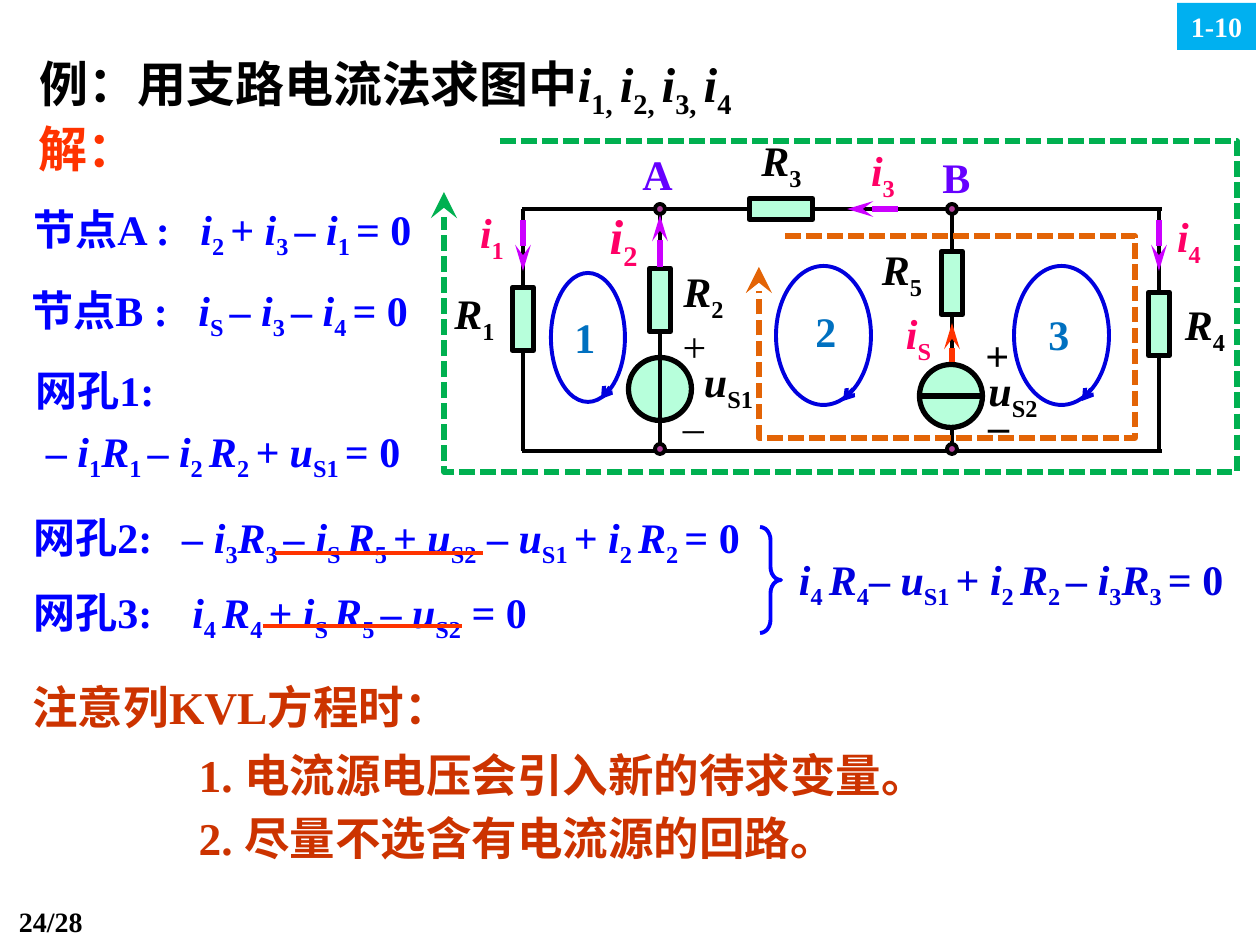
from lxml import etree
from pptx import Presentation
from pptx.dml.color import RGBColor
from pptx.enum.dml import MSO_LINE
from pptx.enum.shapes import MSO_CONNECTOR, MSO_SHAPE
from pptx.enum.text import MSO_ANCHOR, MSO_AUTO_SIZE, PP_ALIGN
from pptx.oxml.ns import qn
from pptx.util import Pt

UNIT = 914400 / 126
LEFT, MID, RIGHT, JUST = PP_ALIGN.LEFT, PP_ALIGN.CENTER, PP_ALIGN.RIGHT, PP_ALIGN.JUSTIFY
TOP, CENTER = MSO_ANCHOR.TOP, MSO_ANCHOR.MIDDLE
FIXED = MSO_AUTO_SIZE.NONE
DASH = MSO_LINE.SQUARE_DOT
RECT, OVAL, BRACE = MSO_SHAPE.RECTANGLE, MSO_SHAPE.OVAL, MSO_SHAPE.RIGHT_BRACE
WIRE = MSO_CONNECTOR.STRAIGHT
LATIN, HAN = "Times New Roman", "Noto Sans CJK SC"
BLACK, WHITE, BLUE, NAVY = "000000", "FFFFFF", "0000FF", "0000DE"
RED, RUST, PINK, MINT = "FF3300", "CC3300", "FF0066", "B7FFDB"
VIOLET, PURPLE, PLUM, SKY = "6600FF", "CC00FF", "B13F9A", "0070C0"


def px(*vals):
    return [round(v * UNIT) for v in vals]


def tint(code):
    return RGBColor.from_string(code)


def put(item, vals):
    for key, val in vals.items():
        setattr(item, key, val)


def write(frame, lines, color, size=24, bold=True, wrap=True, anchor=TOP, tab=None, **form):
    # Runs split at "|": "/" marks italic, "_" marks subscript
    put(frame, {"word_wrap": wrap, "auto_size": FIXED, "vertical_anchor": anchor})
    for n, line in enumerate(lines):
        para = frame.add_paragraph() if n else frame.paragraphs[0]
        put(para, form)
        if tab:
            stops = etree.SubElement(para._p.get_or_add_pPr(), qn("a:tabLst"))
            etree.SubElement(stops, qn("a:tab"), pos=str(px(tab)[0]), algn="l")
        for part in line.split("|"):
            run = para.add_run()
            run.text = part.lstrip("/_")
            put(run.font, {"name": LATIN, "size": Pt(size), "bold": bold,
                           "italic": part.startswith("/")})
            run.font.color.rgb = tint(color)
            props = run._r.get_or_add_rPr()
            etree.SubElement(props, qn("a:ea"), typeface=HAN)
            if part.startswith("_"):
                props.set("baseline", "-25000")


def label(slide, box, lines, color, **form):
    write(slide.shapes.add_textbox(*px(*box)).text_frame, lines, color, **form)


def mark(slide, box, text, color, **form):
    label(slide, box, [text], color, wrap=False, anchor=CENTER, alignment=MID, **form)


def fill_slot(slot, box, lines, color, **form):
    put(slot, dict(zip(("left", "top", "width", "height"), px(*box))))
    write(slot.text_frame, lines, color, **form)


def style(line, color, width, head=None, dash=None):
    line.color.rgb = tint(color)
    put(line, {"width": Pt(width), "dash_style": dash})
    if head:
        kind, wide, long = head
        etree.SubElement(line._get_or_add_ln(), qn("a:tailEnd"), type=kind, w=wide, len=long)


def shape(slide, kind, box, fill=None, edge=None, width=3):
    item = slide.shapes.add_shape(kind, *px(*box))
    item.shadow.inherit = False
    if fill:
        item.fill.solid()
        item.fill.fore_color.rgb = tint(fill)
    else:
        item.fill.background()
    if edge:
        style(item.line, edge, width)
    else:
        item.line.fill.background()
    return item


def node(slide, kind, x, y, wide, high, fill, width=3):
    shape(slide, kind, (x - wide / 2, y - high / 2, wide, high), fill, BLACK, width)


def wire(slide, ends, color=BLACK, width=2, head=None):
    item = slide.shapes.add_connector(WIRE, *px(*ends))
    style(item.line, color, width, head)
    etree.SubElement(item._element.spPr, qn("a:effectLst"))


def route(slide, points, color):
    pen = slide.shapes.build_freeform(*points[0], scale=UNIT)
    pen.add_line_segments(points[1:], close=False)
    item = pen.convert_to_shape()
    item.shadow.inherit = False
    item.fill.background()
    style(item.line, color, 3, ("stealth", "lg", "lg"), DASH)


def circuit(slide):
    node(slide, OVAL, 660, 389, 63, 63, MINT)
    for ends in ((522, 209, 1162, 209), (522, 451, 1162, 451), (523, 209, 523, 451),
                 (660, 209, 660, 451), (952, 215, 952, 447), (1159, 209, 1159, 451)):
        wire(slide, ends)
    for x, y in ((523, 319), (660, 300), (952, 283), (1159, 324)):
        node(slide, RECT, x, y, 21, 63, MINT)
    node(slide, RECT, 781, 209, 63, 21, MINT)
    node(slide, OVAL, 951, 396, 63, 63, MINT)
    wire(slide, (920, 396, 983, 396), width=3)
    for x in (660, 952):
        for y in (209, 449):
            node(slide, OVAL, x, y, 10, 10, PLUM, 2.25)
    for ends, color in (((898, 209, 847, 209), PURPLE), ((660, 267, 660, 215), PURPLE),
                        ((523, 220, 523, 271), PURPLE), ((1159, 220, 1159, 271), PURPLE),
                        ((952, 362, 952, 323), RED)):
        wire(slide, ends, color, 3, ("stealth", "med", "lg"))


def names(slide):
    for x, y, wide, text, color in (
            (630, 142, 55, "A", VIOLET), (930, 145, 53, "B", VIOLET),
            (467, 204, 50, "/i|_1", PINK), (858, 142, 50, "/i|_3", PINK),
            (1163, 208, 52, "/i|_4", PINK), (892, 305, 53, "/i|_S", PINK),
            (441, 285, 67, "/R|_1", BLACK), (670, 263, 67, "/R|_2", BLACK),
            (748, 132, 67, "/R|_3", BLACK), (1171, 296, 68, "/R|_4", BLACK),
            (868, 241, 68, "/R|_5", BLACK), (689, 353, 79, "/u|_S1", BLACK),
            (974, 362, 78, "/u|_S2", BLACK), (973, 323, 49, "+", BLACK),
            (975, 393, 47, "–", BLACK)):
        mark(slide, (x, y, wide, 63), text, color)
    mark(slide, (596, 203, 55, 72), "/i|_2", PINK, size=28)
    mark(slide, (670, 314, 49, 63), "+", BLACK, bold=False)
    mark(slide, (670, 394, 47, 63), "–", BLACK, bold=False)


def loops(slide):
    route(slide, [(785, 236), (1135, 236), (1135, 438), (759, 438), (759, 267)], "E36406")
    route(slide, [(500, 141), (1237, 141), (1237, 472), (444, 472), (444, 192)], "00B050")
    for text, ring, tip, spot in (
            ("1", (551, 273, 74, 129), (610, 387, 601, 399), (562, 305)),
            ("2", (776, 266, 95, 139), (853, 389, 843, 401), (803, 299)),
            ("3", (1014, 266, 95, 139), (1091, 389, 1082, 401), (1036, 302))):
        shape(slide, OVAL, ring, edge=NAVY, width=2.25)
        wire(slide, tip, NAVY, 2.25, ("arrow", "med", "med"))
        label(slide, (*spot, 60, 63), [text], SKY)


def sums(slide):
    label(slide, (21, 197, 416, 63), ["节点A :\t|/i|_2 |+ |/i|_3 |– |/i|_1 |= 0"], BLUE, tab=167)
    label(slide, (19, 278, 408, 63), ["节点B :\t|/i|_S |– |/i|_3 |– |/i|_4 |= 0"], BLUE, tab=167)
    label(slide, (23, 358, 411, 125),
          ["网孔1:", " – |/i|_1|/R|_1 |–|/ i|_2 |/R|_2 |/+ u|_S1 |= 0"],
          BLUE, space_before=Pt(6))
    label(slide, (21, 505, 808, 63),
          ["网孔2:\t|/– i|_3|/R|_3 |/– i|_S |/R|_5 |+|/ u|_S2| – |/u|_S1 |+ |/i|_2 |/R|_2 |= 0"],
          BLUE, tab=149)
    label(slide, (21, 580, 808, 63),
          ["网孔3:\t|/i|_4 |/R|_4 |+ |/i|_S |/R|_5 |– |/u|_S2| = 0"], BLUE, tab=159)
    for ends in ((275, 553, 483, 553), (263, 626, 462, 626)):
        wire(slide, ends, RED, 2.25)
    brace = shape(slide, BRACE, (760, 527, 21, 106), edge=BLUE, width=2.25)
    brace.adjustments[0] = 0.625
    label(slide, (776, 547, 476, 64),
          [" |/i|_4 |/R|_4|– |/u|_S1 |+ |/i|_2 |/R|_2 |/– i|_3|/R|_3 |= 0"], NAVY)


def main():
    deck = Presentation()
    put(deck, dict(zip(("slide_width", "slide_height"), px(1260, 945))))
    slide = deck.slides.add_slide(deck.slide_layouts[1])
    title, body = slide.placeholders
    fill_slot(title, (27, 34, 810, 78),
              ["例：用支路电流法求图中|/i|_1, |/i|_2, |/i|_3, |/i|_4"],
              BLACK, size=28, alignment=JUST, line_spacing=1.2)
    fill_slot(body, (186, 732, 880, 131),
              ["1. 电流源电压会引入新的待求变量。", "2. 尽量不选含有电流源的回路。"],
              RUST, size=26, alignment=LEFT, line_spacing=Pt(36), space_before=Pt(0))
    for para in body.text_frame.paragraphs:
        props = para._p.get_or_add_pPr()
        props.set("marL", "0")
        props.set("indent", "0")
        etree.SubElement(props, qn("a:buNone"))
    mark(slide, (26, 112, 123, 72), "解：", RED, size=28)
    label(slide, (20, 672, 507, 68), ["注意列KVL方程时："], RUST, size=26, anchor=CENTER)
    circuit(slide)
    names(slide)
    loops(slide)
    sums(slide)
    badge = shape(slide, RECT, (1177, 3, 79, 47), "00B0F0")
    write(badge.text_frame, ["1-10"], WHITE, size=16, anchor=CENTER, wrap=False, alignment=MID)
    label(slide, (0, 898, 95, 47), ["24/28"], BLACK, size=16, wrap=False, alignment=RIGHT)
    deck.save("out.pptx")


if __name__ == "__main__":
    main()
